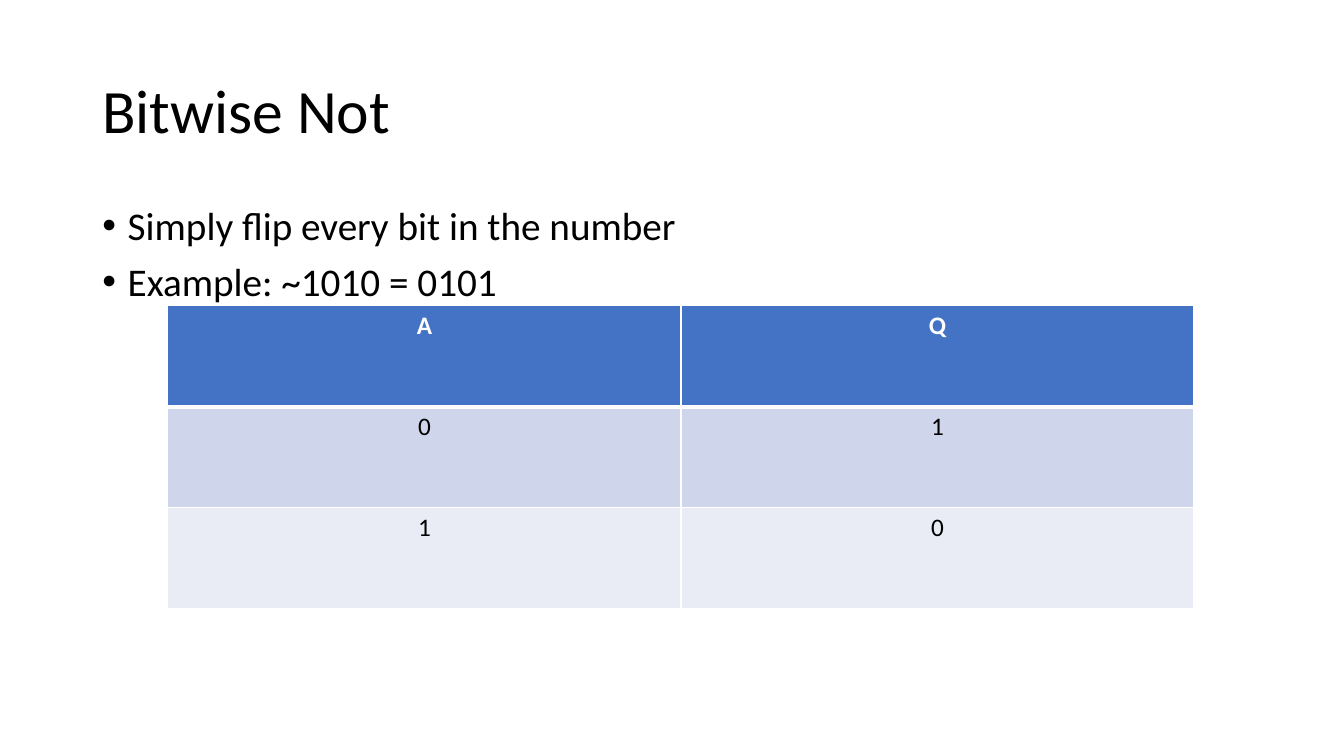
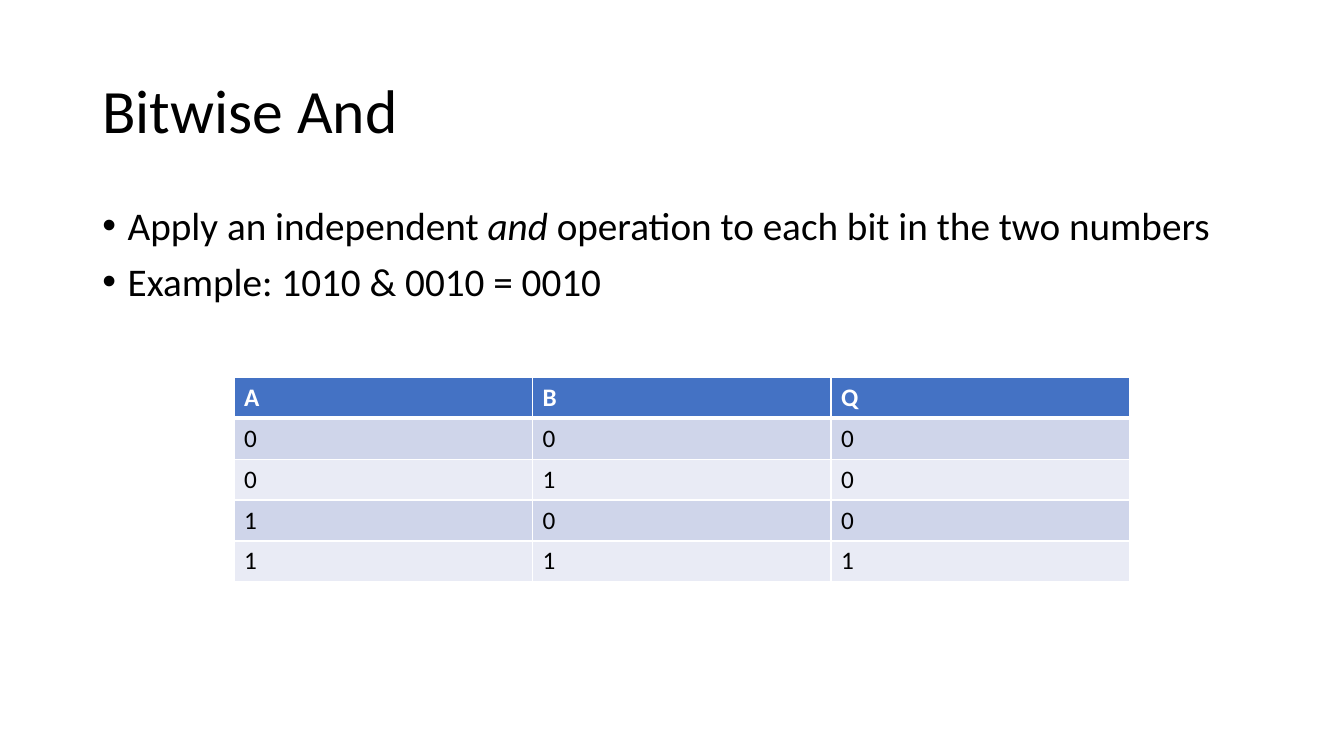
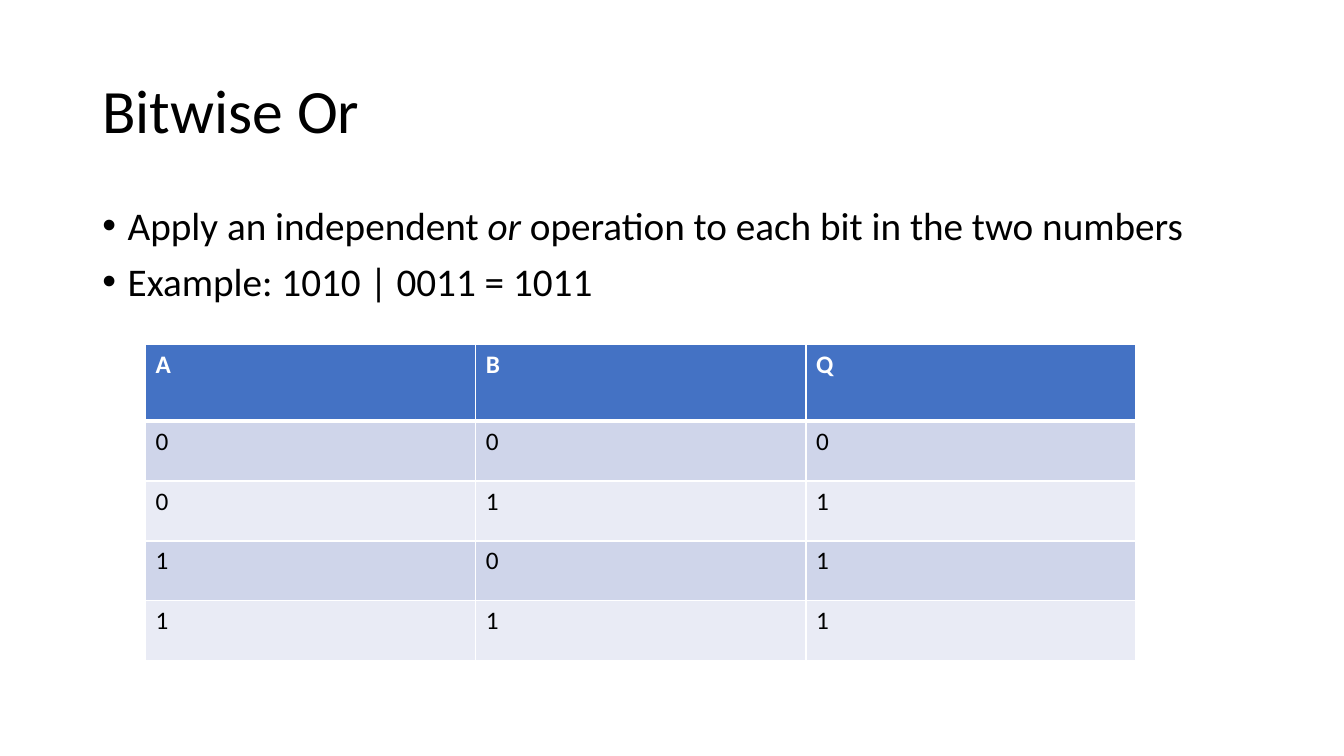
"""Build three slides on bitwise operators, each with a truth table."""
from lxml import etree
from pptx import Presentation
from pptx.dml.color import RGBColor
from pptx.enum.text import MSO_ANCHOR, PP_ALIGN
from pptx.oxml.ns import qn
from pptx.util import Cm, Pt

LEFT, CENTER = PP_ALIGN.LEFT, PP_ALIGN.CENTER
TOP, MIDDLE = MSO_ANCHOR.TOP, MSO_ANCHOR.MIDDLE
FONT = "Calibri"
BLACK, WHITE, BLUE = "000000", "FFFFFF", "4472C4"
BANDS = ("CFD5EA", "E9EBF5")
MARGIN, WIDTH = 2.33, 29.21
INDENT = 0.64


def paint(code):
    """Turn a hex string into a colour."""
    return RGBColor.from_string(code)


def write(par, text, size=18, color=BLACK, bold=False, align=LEFT):
    """Fill a paragraph; parts between asterisks are italic."""
    par.alignment = align
    for i, part in enumerate(text.split("*")):
        run = par.add_run()
        run.text = part
        font = run.font
        font.name, font.size, font.bold = FONT, Pt(size), bold
        font.italic = i % 2 == 1
        font.color.rgb = paint(color)


def bullet(par):
    """Give a paragraph a hanging round bullet."""
    par.space_before = Pt(10)
    props = par._p.get_or_add_pPr()
    props.set("marL", str(Cm(INDENT)))
    props.set("indent", str(-Cm(INDENT)))
    etree.SubElement(props, qn("a:buFont")).set("typeface", "Arial")
    etree.SubElement(props, qn("a:buChar")).set("char", "•")


def block(slide, lines, top, height, size, anchor=TOP, dots=False):
    """Add a full-width text box with one paragraph per line."""
    box = slide.shapes.add_textbox(Cm(MARGIN), Cm(top), Cm(WIDTH), Cm(height))
    frame = box.text_frame
    frame.word_wrap = True
    frame.vertical_anchor = anchor
    for i, line in enumerate(lines):
        par = frame.add_paragraph() if i else frame.paragraphs[0]
        par.line_spacing = 0.9
        write(par, line, size=size)
        if dots:
            bullet(par)


def border(cell, **widths):
    """Draw white cell edges with widths in points."""
    props = cell._tc.get_or_add_tcPr()
    for side in "LRTB":
        line = etree.SubElement(props, qn("a:ln" + side))
        line.set("w", str(Pt(widths.get(side, 1))))
        fill = etree.SubElement(line, qn("a:solidFill"))
        etree.SubElement(fill, qn("a:srgbClr")).set("val", WHITE)


def grid(slide, rows, left, top, col, head, row, align=LEFT):
    """Add a banded truth table; each string is one row of cells."""
    count, span = len(rows), len(rows[0])
    high = head + row * (count - 1)
    table = slide.shapes.add_table(
        count, span, Cm(left), Cm(top), Cm(col * span), Cm(high)).table
    for part in table.columns:
        part.width = Cm(col)
    for r, text in enumerate(rows):
        first = r == 0
        table.rows[r].height = Cm(head if first else row)
        for c, mark in enumerate(text):
            cell = table.cell(r, c)
            border(cell, T=3 if r == 1 else 1, B=3 if first else 1)
            cell.fill.solid()
            cell.fill.fore_color.rgb = paint(BLUE if first else BANDS[(r - 1) % 2])
            write(cell.text_frame.paragraphs[0], mark, bold=first,
                  color=WHITE if first else BLACK, align=align)


def page(deck, title, points):
    """Add a slide with its title and bullet points."""
    slide = deck.slides.add_slide(deck.slide_layouts[6])
    block(slide, [title], 1.01, 3.68, 44, anchor=MIDDLE)
    block(slide, points, 5.07, 12.09, 28, dots=True)
    return slide


def main():
    """Build and save the deck."""
    deck = Presentation()
    deck.slide_width, deck.slide_height = Cm(33.87), Cm(19.05)
    apply = "Apply an independent *{}* operation to each bit in the two numbers"

    slide = page(deck, "Bitwise Not", ["Simply flip every bit in the number",
                                       "Example: ~1010 = 0101"])
    grid(slide, ["AQ", "01", "10"], left=4.23, top=7.7, col=12.93,
         head=2.55, row=2.55, align=CENTER)

    slide = page(deck, "Bitwise And", [apply.format("and"),
                                       "Example: 1010 & 0010 = 0010"])
    grid(slide, ["ABQ", "000", "010", "100", "111"], left=5.9, top=9.51,
         col=7.52, head=1.03, row=1.03)

    slide = page(deck, "Bitwise Or", [apply.format("or"),
                                      "Example: 1010 | 0011 = 1011"])
    grid(slide, ["ABQ", "000", "011", "101", "111"], left=3.67, top=8.69,
         col=8.32, head=1.92, row=1.51)

    deck.save("out.pptx")


if __name__ == "__main__":
    main()
